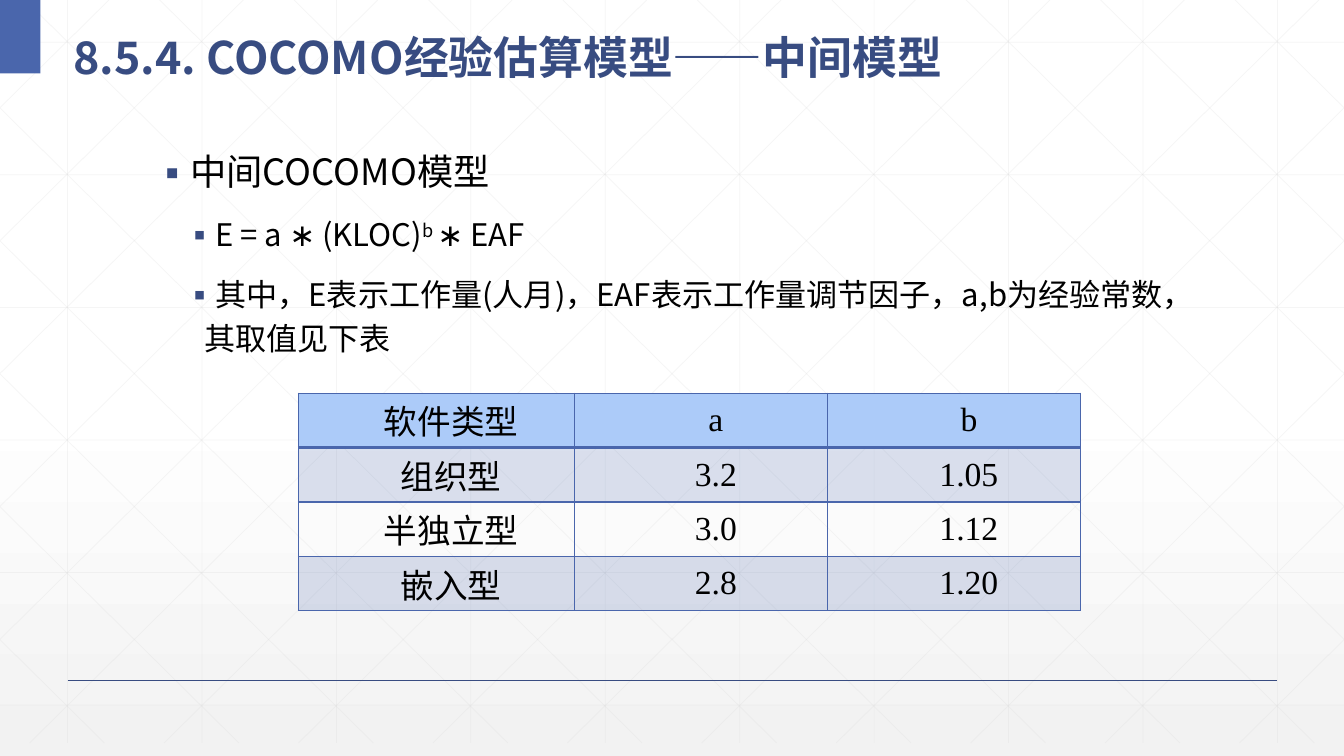
from lxml.etree import SubElement
from pptx import Presentation
from pptx.dml.color import RGBColor
from pptx.enum.shapes import MSO_CONNECTOR, MSO_SHAPE
from pptx.enum.text import MSO_ANCHOR, PP_ALIGN
from pptx.oxml import parse_xml
from pptx.oxml.ns import nsdecls, qn
from pptx.util import Inches, Pt

WIDTH, HEIGHT, DEPTH = 13.33, 7.5, 7.37
STEP = 4 / 3
SANS, SERIF = "Noto Sans CJK SC", "Times New Roman"
COLORS = {"navy": "384C81", "blue": "4A66AC", "sky": "ACCBF9", "grid": "D9D9D9",
          "black": "000000", "white": "FFFFFF", "mist": "F2F2F2"}
ROWS = [("软件类型", "a", "b"), ("组织型", "3.2", "1.05"),
        ("半独立型", "3.0", "1.12"), ("嵌入型", "2.8", "1.20")]


def color(name):
    return RGBColor.from_string(COLORS[name])


def set_alpha(fill, percent):
    tint = fill.find(".//" + qn("a:srgbClr"))
    SubElement(tint, qn("a:alpha")).set("val", str(percent * 1000))


def set_back(slide):
    stops = "".join(
        f'<a:gs pos="{pos * 1000}"><a:srgbClr val="{COLORS[name]}"/></a:gs>'
        for pos, name in ((0, "white"), (53, "white"), (100, "mist")))
    slide.background.fill.solid()
    props = slide.background._cSld.bg.bgPr
    props.replace(props[0], parse_xml(
        f'<a:gradFill {nsdecls("a")} rotWithShape="1"><a:gsLst>{stops}</a:gsLst>'
        '<a:lin ang="5400000" scaled="0"/></a:gradFill>'))


def add_line(slide, x1, y1, x2, y2, name, width):
    line = slide.shapes.add_connector(
        MSO_CONNECTOR.STRAIGHT, Inches(x1), Inches(y1), Inches(x2), Inches(y2))
    line.line.color.rgb = color(name)
    line.line.width = Pt(width)
    props = line._element.spPr
    SubElement(props, qn("a:effectLst"))
    return props


def add_grid(slide):
    """Draw the faint upright, level and crossed slanting lines."""
    ends = [(0.67 + i * STEP, 0, 0.67 + i * STEP, DEPTH) for i in range(10)]
    ends += [(0, 0.42 + i * 1.315, WIDTH, 0.42 + i * 1.315) for i in range(6)]
    slope = 0.989
    for i in range(-5, 10):
        start = 0.25 + i * STEP
        left, right = max(start, 0), min(start + DEPTH / slope, WIDTH)
        top, base = (left - start) * slope, (right - start) * slope
        ends.append((left, top, right, base))
        ends.append((WIDTH - left, top, WIDTH - right, base))
    for end in ends:
        set_alpha(add_line(slide, *end, "grid", 0.5), 25)


def add_block(slide, x, y, w, h, name):
    block = slide.shapes.add_shape(
        MSO_SHAPE.RECTANGLE, Inches(x), Inches(y), Inches(w), Inches(h))
    block.shadow.inherit = False
    block.fill.solid()
    block.fill.fore_color.rgb = color(name)
    block.line.fill.background()


def add_box(slide, x, y, w, h):
    box = slide.shapes.add_textbox(Inches(x), Inches(y), Inches(w), Inches(h))
    frame = box.text_frame
    frame.word_wrap = True
    frame.vertical_anchor = MSO_ANCHOR.MIDDLE
    return frame


def set_font(par, face, size, name, bold=False):
    font = par.font
    font.name, font.size, font.bold = face, Pt(size), bold
    font.color.rgb = color(name)
    if face == SANS:
        SubElement(font._element, qn("a:ea")).set("typeface", face)


def add_title(slide, text):
    par = add_box(slide, 0.63, 0.12, 12.13, 0.73).paragraphs[0]
    par.text = text
    par.line_spacing = 1.3
    set_font(par, SANS, 32, "navy", True)


def add_bullet(par, parts, size, before, margin, hang):
    """Fill a bulleted paragraph; every second part is superscript."""
    for i, part in enumerate(parts):
        run = par.add_run()
        run.text = part
        if i % 2:
            run.font._element.set("baseline", "30000")
    par.line_spacing = 1.16
    par.space_before = Pt(before)
    props = par._p.get_or_add_pPr()
    props.set("marL", str(Inches(margin)))
    props.set("indent", str(-Inches(hang)))
    tint = SubElement(SubElement(props, qn("a:buClr")), qn("a:srgbClr"))
    tint.set("val", COLORS["navy"])
    SubElement(props, qn("a:buFont")).set("typeface", SANS)
    SubElement(props, qn("a:buChar")).set("char", "▪")
    set_font(par, SANS, size, "black")


def add_body(slide):
    frame = add_box(slide, 1.43, 1.14, 10.5, 2.67)
    add_bullet(frame.paragraphs[0], ["中间COCOMO模型"], 25.9, 18, 0.25, 0.25)
    for parts in (["E = a ∗ (KLOC)", "b ", "∗ EAF"],
                  ["其中，E表示工作量(人月)，EAF表示工作量调节因子，a,b为经验常数，其取值见下表"]):
        par = frame.add_paragraph()
        par.level = 1
        add_bullet(par, parts, 22.2, 12, 0.5, 0.2)


def set_border(cell, base):
    props = cell._tc.get_or_add_tcPr()
    for i, (side, width) in enumerate((("L", 1), ("R", 1), ("T", 1), ("B", base))):
        props.insert(i, parse_xml(
            f'<a:ln{side} {nsdecls("a")} w="{Pt(width)}"><a:solidFill>'
            f'<a:srgbClr val="{COLORS["blue"]}"/></a:solidFill></a:ln{side}>'))


def fill_cell(cell, text, row):
    cell.margin_left = cell.margin_right = Inches(0.07)
    cell.margin_top = cell.margin_bottom = 0
    cell.vertical_anchor = MSO_ANCHOR.MIDDLE
    par = cell.text_frame.paragraphs[0]
    par.text = text
    par.alignment = PP_ALIGN.CENTER
    par._p.get_or_add_pPr().set("indent", str(Inches(0.29)))
    set_font(par, SERIF, 24, "black")
    if row == 2:
        cell.fill.background()
    else:
        cell.fill.solid()
        cell.fill.fore_color.rgb = color("blue" if row else "sky")
        if row:
            set_alpha(cell._tc.tcPr, 20)
    set_border(cell, 1 if row else 2)


def add_table(slide):
    table = slide.shapes.add_table(
        len(ROWS), 3, Inches(2.96), Inches(3.9), Inches(7.76), Inches(2.16)).table
    table.first_row = table.horz_banding = False
    for col, width in zip(table.columns, (2.74, 2.51, 2.51)):
        col.width = Inches(width)
    for r, row in enumerate(ROWS):
        table.rows[r].height = Inches(0.54)
        for c, text in enumerate(row):
            fill_cell(table.cell(r, c), text, r)


def main():
    deck = Presentation()
    deck.slide_width, deck.slide_height = Inches(WIDTH), Inches(HEIGHT)
    slide = deck.slides.add_slide(deck.slide_layouts[6])
    set_back(slide)
    add_grid(slide)
    add_line(slide, 0.67, 6.75, 12.67, 6.75, "navy", 1)
    add_block(slide, 0, 0, 0.4, 0.73, "blue")
    add_title(slide, "8.5.4. COCOMO经验估算模型——中间模型")
    add_body(slide)
    add_table(slide)
    deck.save("out.pptx")


if __name__ == "__main__":
    main()
